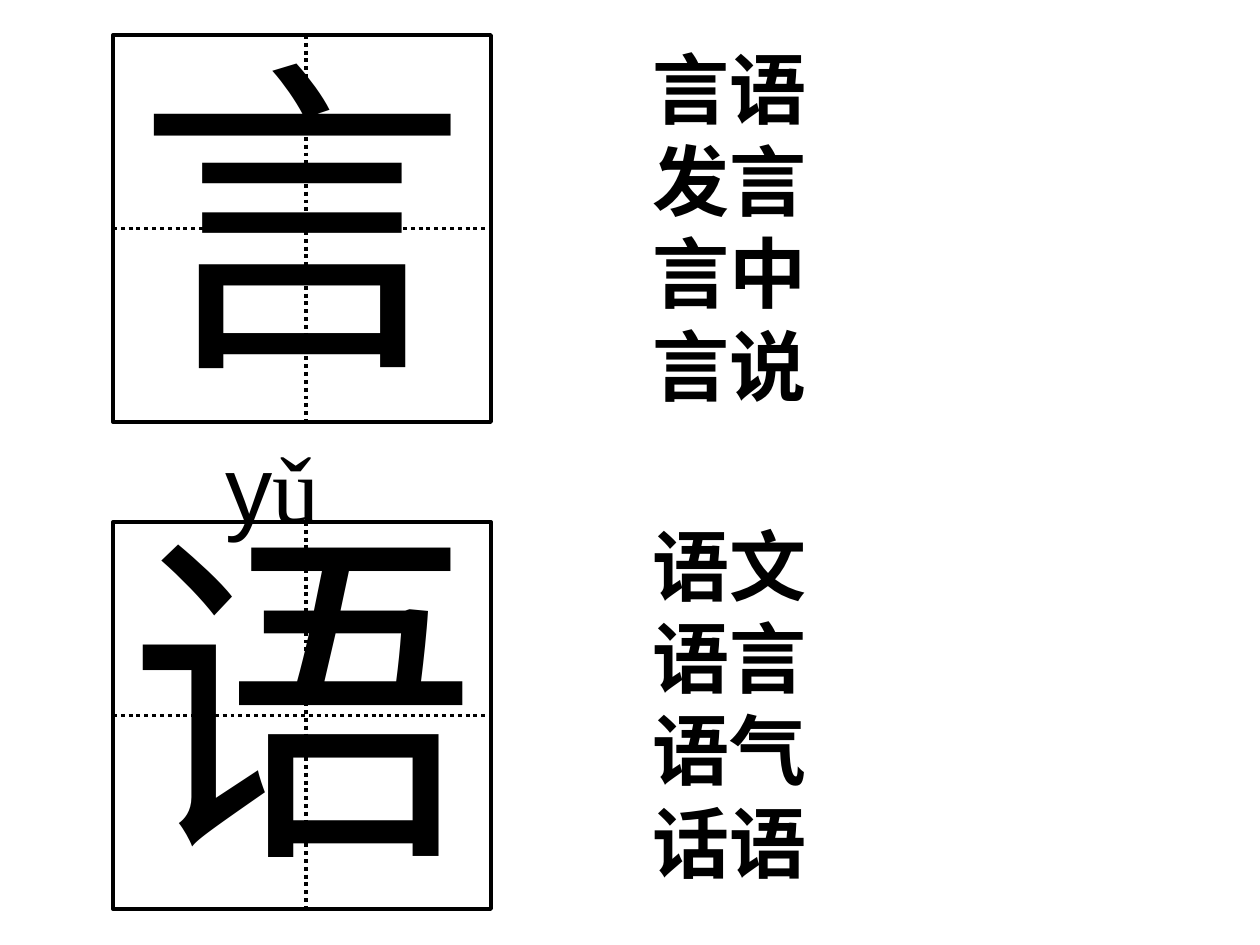
from lxml import etree
from pptx import Presentation
from pptx.dml.color import RGBColor
from pptx.enum.dml import MSO_LINE
from pptx.enum.shapes import MSO_CONNECTOR, MSO_SHAPE
from pptx.enum.text import MSO_AUTO_SIZE, PP_ALIGN
from pptx.oxml.ns import qn
from pptx.util import Emu, Pt

BLACK = RGBColor(0, 0, 0)
DOTS = MSO_LINE.ROUND_DOT
STRAIGHT = MSO_CONNECTOR.STRAIGHT
LEFT, CENTER = PP_ALIGN.LEFT, PP_ALIGN.CENTER
SANS, SERIF = "Arial", "Times New Roman"

# Writing grids: left edge, size and offset of the upright guide
GRID_X, GRID_W, GRID_H, GUIDE = 113, 378, 387, 193
GRID_TOPS = [522, 35]

# (box, lines of (text, font) runs, size, bold, align, wrap)
TEXTS = [
    ((213, 423, 120, 126), [[("y", SANS), ("ǔ", SERIF)]], 54, False, LEFT, False),
    ((115, 473, 375, 433), [[("语", SANS)]], 200, False, LEFT, False),
    ((640, 512, 248, 383), [[(word, SANS)] for word in ("语文", "语言", "语气", "话语")],
     44, True, LEFT, True),
    ((113, 6, 377, 410), [[("言", SERIF)]], 189, False, CENTER, True),
    ((640, 35, 199, 383), [[(word, SERIF)] for word in ("言语", "发言", "言中", "言说")],
     44, True, LEFT, True),
]


def px(n):
    return Emu(round(n * 914400 / 126))


def add_guide(shapes, x1, y1, x2, y2):
    guide = shapes.add_connector(STRAIGHT, px(x1), px(y1), px(x2), px(y2))
    guide.line.color.rgb = BLACK
    guide.line.width = Pt(2.25)
    guide.line.dash_style = DOTS
    etree.SubElement(guide._element.spPr, qn("a:effectLst"))
    return guide


def add_grid(shapes, top):
    """Draw a square frame with dotted cross guides."""
    frame = shapes.add_shape(MSO_SHAPE.RECTANGLE, px(GRID_X), px(top), px(GRID_W), px(GRID_H))
    frame.shadow.inherit = False
    frame.fill.background()
    frame.line.color.rgb = BLACK
    frame.line.width = Pt(2.25)
    mid = top + GRID_H / 2
    level = add_guide(shapes, GRID_X, mid, GRID_X + GRID_W, mid)
    level.begin_connect(frame, 1)
    level.end_connect(frame, 3)
    add_guide(shapes, GRID_X + GUIDE, top, GRID_X + GUIDE, top + GRID_H)


def add_text(shapes, box, lines, size, bold, align, wrap):
    frame = shapes.add_textbox(*map(px, box)).text_frame
    frame.word_wrap = wrap
    frame.auto_size = MSO_AUTO_SIZE.SHAPE_TO_FIT_TEXT
    for i, line in enumerate(lines):
        para = frame.add_paragraph() if i else frame.paragraphs[0]
        para.alignment = align
        for text, name in line:
            run = para.add_run()
            run.text = text
            run.font.name = name
            run.font.size = Pt(size)
            run.font.bold = bold
            run.font.color.rgb = BLACK


def main():
    deck = Presentation()
    deck.slide_width, deck.slide_height = px(1260), px(945)
    shapes = deck.slides.add_slide(deck.slide_layouts[6]).shapes
    for top in GRID_TOPS:
        add_grid(shapes, top)
    for item in TEXTS:
        add_text(shapes, *item)
    deck.save("out.pptx")


if __name__ == "__main__":
    main()
